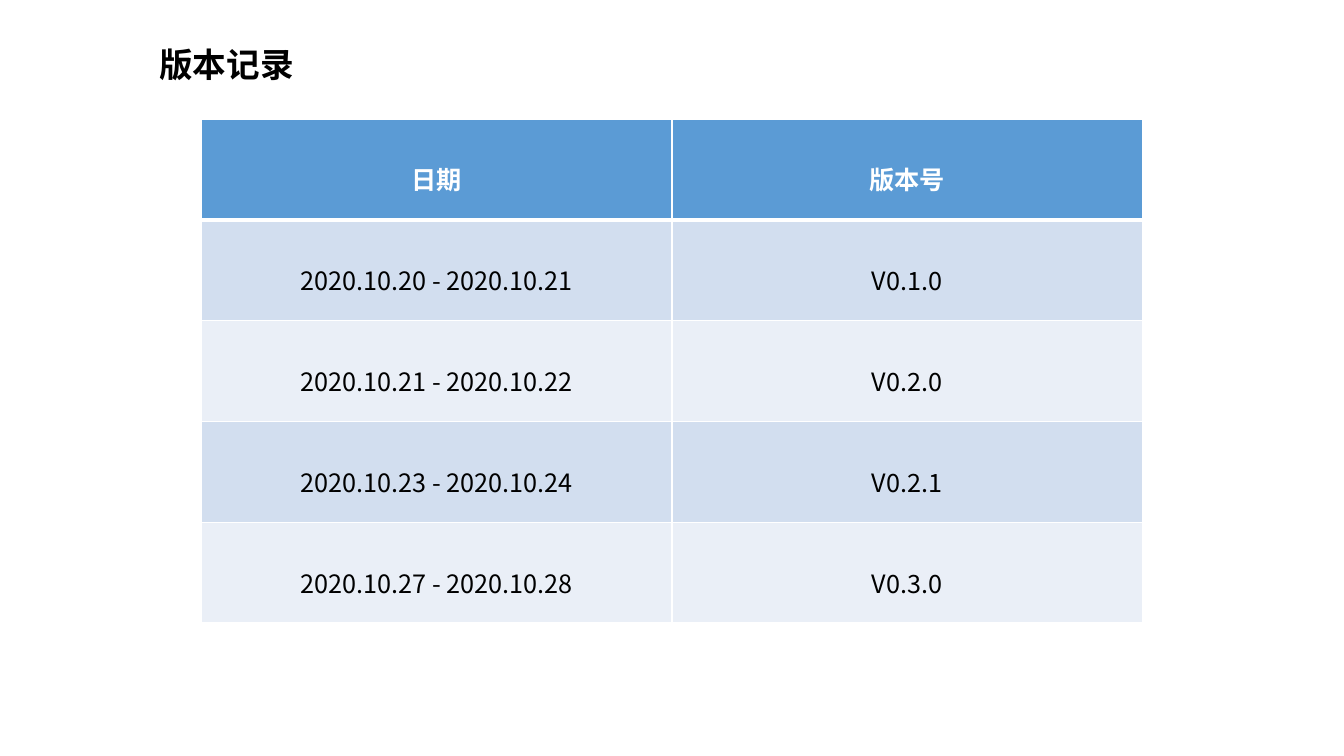
from lxml import etree
from pptx import Presentation
from pptx.dml.color import RGBColor
from pptx.enum import text
from pptx.oxml import ns
from pptx.util import Inches, Pt

FONT = "Noto Sans CJK SC"
BLACK = RGBColor(0x00, 0x00, 0x00)
WHITE = RGBColor(0xFF, 0xFF, 0xFF)
HEADER_BLUE = RGBColor(0x5B, 0x9B, 0xD5)
BAND_DARK = RGBColor(0xD2, 0xDE, 0xEF)
BAND_LIGHT = RGBColor(0xEA, 0xEF, 0xF7)

VERSIONS = [
    ("日期", "版本号"),
    ("2020.10.20 - 2020.10.21", "V0.1.0"),
    ("2020.10.21 - 2020.10.22", "V0.2.0"),
    ("2020.10.23 - 2020.10.24", "V0.2.1"),
    ("2020.10.27 - 2020.10.28", "V0.3.0"),
]


def add_span(para, words, size, color, bold):
    span = para.add_run()
    span.text = words
    span.font.size = Pt(size)
    span.font.bold = bold
    span.font.color.rgb = color
    span.font.name = FONT
    east_asian = etree.SubElement(span.font._element, ns.qn("a:ea"))
    east_asian.set("typeface", FONT)


def add_border(cell, side, width):
    line = etree.SubElement(cell._tc.get_or_add_tcPr(), ns.qn(f"a:ln{side}"))
    line.set("w", str(Pt(width)))
    fill = etree.SubElement(line, ns.qn("a:solidFill"))
    etree.SubElement(fill, ns.qn("a:srgbClr")).set("val", str(WHITE))


deck = Presentation()
deck.slide_width = Inches(13.33)
deck.slide_height = Inches(7.5)
page = deck.slides.add_slide(deck.slide_layouts[5])

title = page.shapes.title
title.left, title.top = Inches(1.48), Inches(0.39)
title.width, title.height = Inches(4.74), Inches(0.5)
title.text_frame.vertical_anchor = text.MSO_ANCHOR.MIDDLE
title_para = title.text_frame.paragraphs[0]
title_para.alignment = text.PP_ALIGN.LEFT
add_span(title_para, "版本记录", 24, BLACK, True)

table = page.shapes.add_table(
    len(VERSIONS), 2, Inches(2), Inches(1.18), Inches(9.33), Inches(5)
).table

for row, version in enumerate(VERSIONS):
    is_header = row == 0
    for column, words in enumerate(version):
        cell = table.cell(row, column)
        add_border(cell, "L", 1)
        add_border(cell, "R", 1)
        add_border(cell, "T", 3 if row == 1 else 1)
        add_border(cell, "B", 3 if is_header else 1)
        cell.fill.solid()
        band = BAND_DARK if row % 2 else BAND_LIGHT
        cell.fill.fore_color.rgb = HEADER_BLUE if is_header else band
        cell.vertical_anchor = text.MSO_ANCHOR.MIDDLE
        cell.margin_top = Inches(0.24)
        para = cell.text_frame.paragraphs[0]
        para.alignment = text.PP_ALIGN.CENTER
        add_span(para, words, 18, WHITE if is_header else BLACK, is_header)

deck.save("out.pptx")
